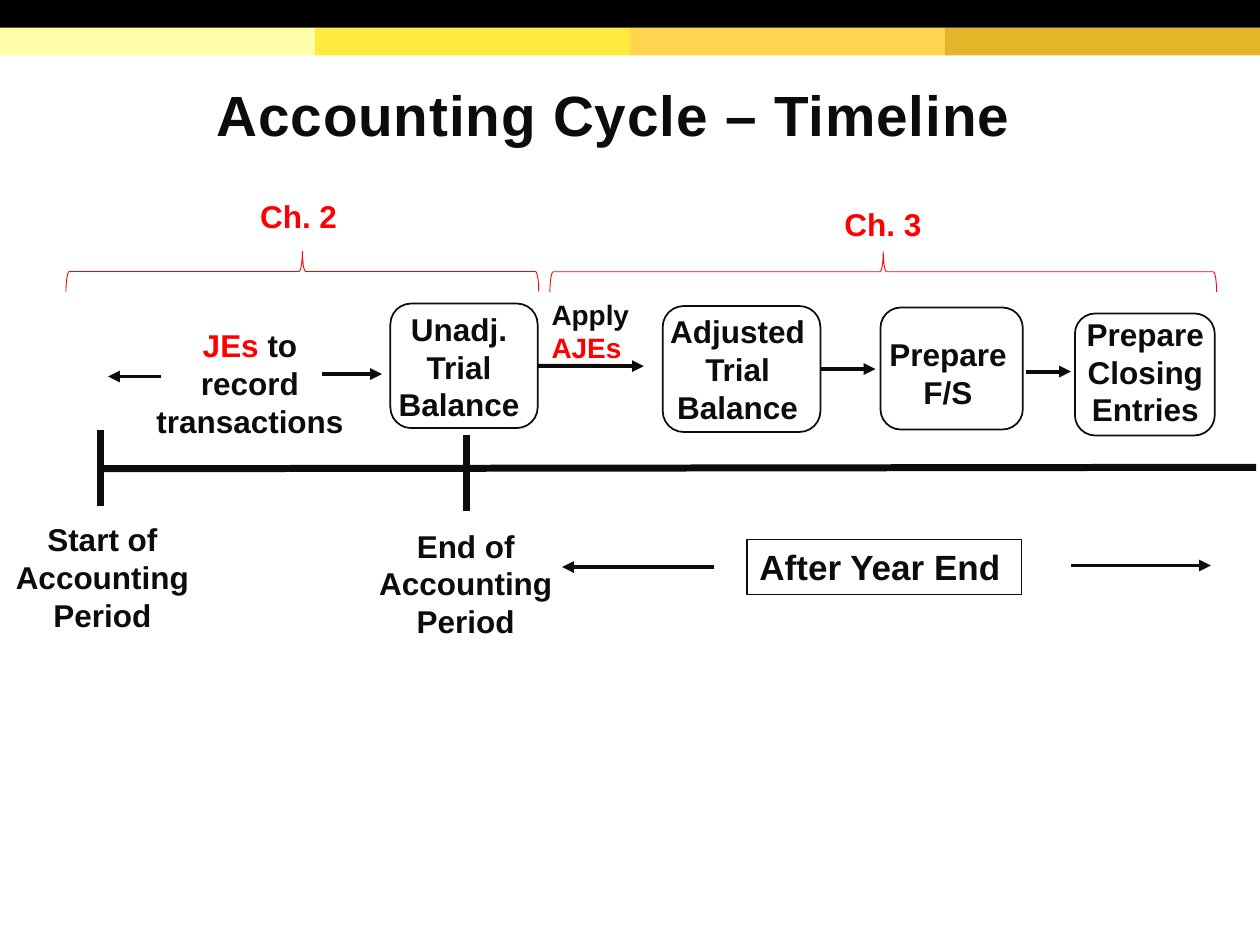
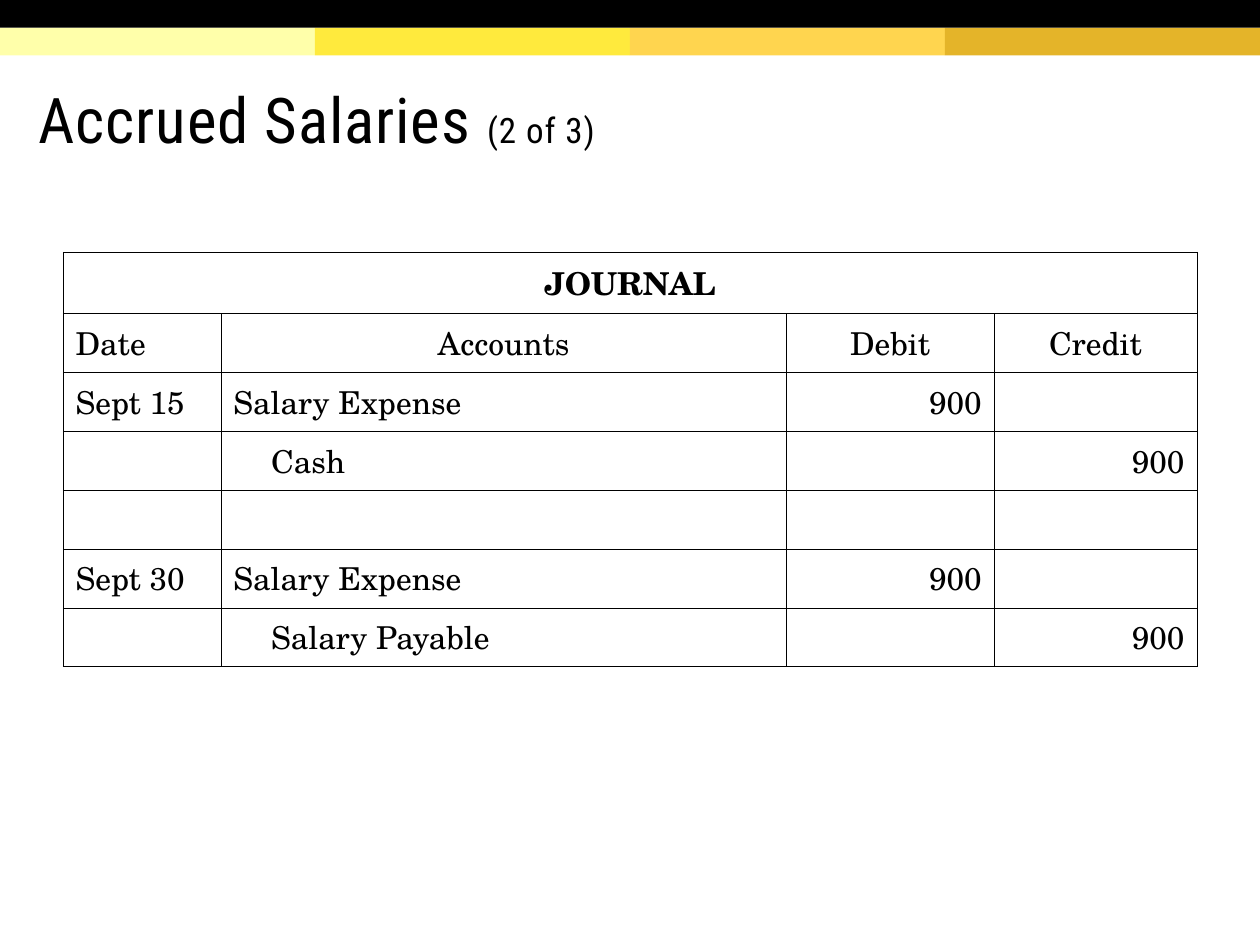
import dataclasses

import lxml.etree
import pptx
import pptx.dml.color
import pptx.enum.shapes
import pptx.enum.text
import pptx.oxml.ns
import pptx.util

Cm = pptx.util.Cm
Pt = pptx.util.Pt
qn = pptx.oxml.ns.qn
Align = pptx.enum.text.PP_ALIGN
Anchor = pptx.enum.text.MSO_ANCHOR
AutoSize = pptx.enum.text.MSO_AUTO_SIZE
Preset = pptx.enum.shapes.MSO_SHAPE


@dataclasses.dataclass(frozen=True)
class Theme:
    ink: str = "0C0C0C"
    black: str = "000000"
    accent: str = "FF0000"
    bands: tuple = ("FFFFAA", "FFEA3D", "FFD54F", "E4B429")
    diagram_font: str = "Arial"
    title_font: str = "Roboto Condensed"
    journal_font: str = "TeX Gyre Schola"
    timeline_title: float = 32.4
    title: float = 36
    counter: float = 20
    period: float = 20
    body: float = 18
    note: float = 16
    hairline: float = 0.25
    brace_line: float = 0.5
    frame_line: float = 0.75
    box_line: float = 1
    arrow_line: float = 2.25
    axis_line: float = 4


THEME = Theme()


def rgb(code):
    return pptx.dml.color.RGBColor.from_string(code)


def write(frame, paragraphs, *, font=THEME.diagram_font, size=THEME.body,
          color=THEME.ink, bold=True, align=Align.CENTER, indent=0,
          line_spacing=None, tracking=None):
    for index, runs in enumerate(paragraphs):
        paragraph = frame.paragraphs[0] if index == 0 else frame.add_paragraph()
        paragraph.alignment = align
        if line_spacing:
            paragraph.line_spacing = line_spacing
        if indent:
            paragraph._p.get_or_add_pPr().set("marL", str(Cm(indent)))
        if not runs:
            end = lxml.etree.SubElement(
                paragraph._p, qn("a:endParaRPr"), sz=str(int(size * 100)))
            lxml.etree.SubElement(end, qn("a:latin"), typeface=font)
        for piece in [runs] if isinstance(runs, str) and runs else runs:
            words, changes = (piece, {}) if isinstance(piece, str) else piece
            run = paragraph.add_run()
            run.text = words
            run.font.name = font
            run.font.size = Pt(changes.get("size", size))
            run.font.bold = bold
            run.font.color.rgb = rgb(changes.get("color", color))
            if tracking:
                run._r.get_or_add_rPr().set("spc", str(int(tracking * 100)))


class Deck:
    def __init__(self, theme):
        self.theme = theme
        self.show = pptx.Presentation()
        self.show.slide_width = Cm(25.4)
        self.show.slide_height = Cm(19.05)
        self.slide = None

    def new_slide(self, title, place, **style):
        self.slide = self.show.slides.add_slide(self.show.slide_layouts[5])
        heading = self.slide.shapes.title
        heading.left, heading.top, heading.width, heading.height = map(Cm, place)
        frame = heading.text_frame
        frame.auto_size = AutoSize.NONE
        frame.word_wrap = True
        frame.vertical_anchor = Anchor.MIDDLE
        frame.margin_left = frame.margin_right = frame.margin_top = Cm(0.25)
        frame.margin_bottom = Cm(0.13)
        write(frame, [title], line_spacing=0.85, tracking=0.5, **style)

    def bands_on_master(self):
        height = 0.56
        width = 25.4 / len(self.theme.bands)
        bands = [self.shape(Preset.RECTANGLE, (i * width, height, width, height), fill=code)
                 for i, code in enumerate(self.theme.bands)]
        bands.append(self.shape(Preset.RECTANGLE, (0, 0, 25.4, height),
                                fill=self.theme.black))
        for position, band in enumerate(bands, start=2):
            self.show.slide_master.shapes.element.insert(position, band.element)

    def shape(self, preset, place, fill=None, line=None, width=1, rotation=0):
        shape = self.slide.shapes.add_shape(preset, *map(Cm, place))
        shape.shadow.inherit = False
        shape.rotation = rotation
        if fill:
            shape.fill.solid()
            shape.fill.fore_color.rgb = rgb(fill)
        else:
            shape.fill.background()
        if line:
            shape.line.color.rgb = rgb(line)
            shape.line.width = Pt(width)
        else:
            shape.line.fill.background()
        return shape

    def label(self, place, paragraphs, wrap=True, **style):
        frame = self.slide.shapes.add_textbox(*map(Cm, place)).text_frame
        frame.word_wrap = wrap
        frame.auto_size = AutoSize.SHAPE_TO_FIT_TEXT
        write(frame, paragraphs, **style)

    def line(self, start, end, width, arrow=False, source=None):
        line = self.slide.shapes.add_connector(
            pptx.enum.shapes.MSO_CONNECTOR.STRAIGHT, *map(Cm, start + end))
        if source is not None:
            line.begin_connect(source, 3)
        line.line.color.rgb = rgb(self.theme.ink)
        line.line.width = Pt(width)
        if arrow:
            lxml.etree.SubElement(line.line._get_or_add_ln(), qn("a:tailEnd"),
                                  type="triangle")
        lxml.etree.SubElement(line.element.spPr, qn("a:effectLst"))

    def arrow(self, start, end, source=None):
        self.line(start, end, self.theme.arrow_line, arrow=True, source=source)

    def cell(self, cell, words, **style):
        cell.fill.background()
        properties = cell._tc.get_or_add_tcPr()
        for position, side in enumerate(("lnL", "lnR", "lnT", "lnB")):
            border = lxml.etree.Element(qn("a:" + side),
                                        w=str(Pt(self.theme.hairline)))
            ink = lxml.etree.SubElement(border, qn("a:solidFill"))
            lxml.etree.SubElement(ink, qn("a:srgbClr"), val=self.theme.black)
            properties.insert(position, border)
        write(cell.text_frame, [words], font=self.theme.journal_font,
              color=self.theme.black, **style)

    def journal(self, corner, columns, row_height, heading, headers, entries):
        rows = [(heading, "", "", ""), headers, *entries]
        table = self.slide.shapes.add_table(
            len(rows), len(columns), *map(Cm, corner), Cm(sum(columns)),
            Cm(row_height * len(rows))).table
        table.first_row = table.horz_banding = False
        for column, width in zip(table.columns, columns):
            column.width = Cm(width)
        for r, row in enumerate(rows):
            table.rows[r].height = Cm(row_height)
            for c, words in enumerate(row):
                align = Align.RIGHT if c > 1 else Align.LEFT
                if r == 0 or (r == 1 and c > 0):
                    align = Align.CENTER
                credited = c == 1 and r > 1 and row[3]
                self.cell(table.cell(r, c), words, bold=r == 0, align=align,
                          indent=0.76 if credited else 0)
        table.cell(0, 0).merge(table.cell(0, len(columns) - 1))


def timeline(deck):
    theme = deck.theme
    red = {"color": theme.accent}
    deck.new_slide("Accounting Cycle – Timeline", (0.94, 1.6, 22.86, 1.5),
                   size=theme.timeline_title)
    deck.bands_on_master()

    deck.label((7.37, 10.49, 4.04, 2.57), ["End of", "Accounting", "Period"], wrap=False)
    deck.label((-0.03, 10.36, 4.19, 2.57), ["Start of Accounting", "Period"])
    deck.label((2.87, 6.45, 4.34, 2.57), [[("JEs", red), " to record transactions"]])
    deck.label((10.87, 5.87, 2.18, 1.63), [["Apply ", ("AJEs", red)]],
               size=theme.note, align=Align.LEFT)

    for start, end in (((2.03, 8.66), (2.03, 10.21)),
                       ((9.4, 8.76), (9.4, 10.31)),
                       ((2.08, 9.45), (25.32, 9.42))):
        deck.line(start, end, theme.axis_line)

    after_year_end = deck.shape(Preset.RECTANGLE, (15.06, 10.87, 5.54, 1.12),
                                line=theme.ink, width=theme.frame_line)
    after_year_end.text_frame.vertical_anchor = Anchor.TOP
    write(after_year_end.text_frame, ["After Year End"], size=theme.period,
          align=Align.LEFT)

    stages = (
        (["Unadj.", "Trial Balance"], (7.44, 6.12, 3.63, 2.57), (7.87, 6.12, 2.97, 2.51)),
        (["Adjusted", "Trial Balance"], (12.8, 6.17, 4.14, 2.59), (13.36, 6.17, 3.18, 2.54)),
        (["Prepare F/S"], (17.65, 6.63, 2.92, 1.78), (17.75, 6.2, 2.87, 2.46)),
        (["Prepare Closing Entries"], (21.64, 6.22, 2.9, 2.57), (21.67, 6.32, 2.82, 2.46)),
    )
    boxes = []
    for words, text_place, box_place in stages:
        deck.label(text_place, words)
        boxes.append(deck.shape(Preset.ROUNDED_RECTANGLE, box_place,
                                line=theme.ink, width=theme.box_line))
    unadjusted, adjusted = boxes[:2]

    for start, end, source in (
        ((3.25, 7.59), (2.18, 7.59), None),
        ((6.5, 7.54), (7.7, 7.54), None),
        ((10.84, 7.38), (12.98, 7.38), unadjusted),
        ((16.54, 7.44), (17.65, 7.44), adjusted),
        ((20.68, 7.49), (21.59, 7.49), None),
        ((14.4, 11.43), (11.33, 11.43), None),
        ((21.59, 11.4), (24.41, 11.4), None),
    ):
        deck.arrow(start, end, source)

    for chapter, brace_place, label_place in (
        ("Ch. 2", (5.69, 0.71, 0.81, 9.53), (4.98, 3.84, 2.08, 1.02)),
        ("Ch. 3", (17.4, -1.24, 0.81, 13.44), (16.76, 4.01, 2.08, 1.02)),
    ):
        deck.shape(Preset.LEFT_BRACE, brace_place, line=theme.accent,
                   width=theme.brace_line, rotation=90)
        deck.label(label_place, [chapter], wrap=False, color=theme.accent)


def accrued_salaries(deck):
    theme = deck.theme
    deck.new_slide(["Accrued Salaries ", ("(2 of 3)", {"size": theme.counter})],
                   (0.53, 1.19, 24.1, 2.49), font=theme.title_font, size=theme.title,
                   color=theme.black, bold=False, align=Align.LEFT)
    deck.journal(
        (1.27, 5.08), (3.18, 11.4, 4.19, 4.09), 1.02, "JOURNAL",
        ("Date", "Accounts", "Debit", "Credit"),
        (("Sept 15", "Salary Expense", "900", ""),
         ("", "Cash", "", "900"),
         ("", "", "", ""),
         ("Sept 30", "Salary Expense", "900", ""),
         ("", "Salary Payable", "", "900")))


def main():
    deck = Deck(THEME)
    timeline(deck)
    accrued_salaries(deck)
    deck.show.save("out.pptx")


if __name__ == "__main__":
    main()
